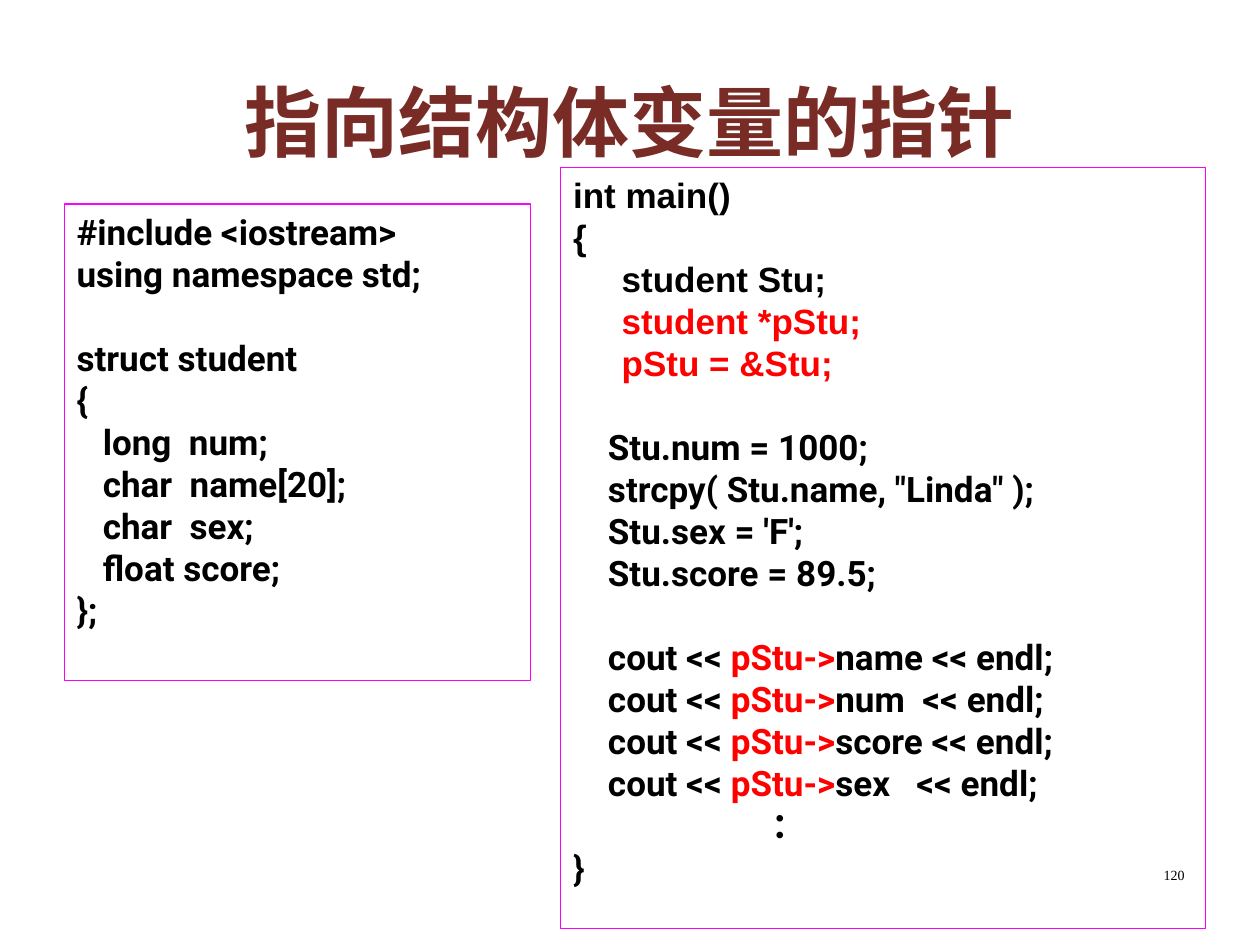
from pptx import Presentation
from pptx.dml.color import RGBColor
from pptx.enum.shapes import MSO_SHAPE
from pptx.enum.text import MSO_ANCHOR, PP_ALIGN
from pptx.util import Inches, Pt

BLACK = RGBColor(0x00, 0x00, 0x00)
RED = RGBColor(0xFF, 0x00, 0x00)
MAROON = RGBColor(0x79, 0x2B, 0x25)
MAGENTA = RGBColor(0xFF, 0x00, 0xFF)
SERIF, SANS, CODE = "Times New Roman", "Arial", "Roboto"

STRUCT_CODE = """#include <iostream>
using namespace std;

struct student
{
   long  num;
   char  name[20];
   char  sex;
   float score;
};"""

DECLARATION_CODE = """int main()
{
     student Stu;"""

POINTER_CODE = """     student *pStu;
     pStu = &Stu;
"""

ASSIGNMENT_CODE = """    Stu.num = 1000;
    strcpy( Stu.name, "Linda" );
    Stu.sex = 'F';
    Stu.score = 89.5;
"""

PRINTED_MEMBERS = ["name ", "num  ", "score ", "sex   "]

CLOSING_CODE = """                         ：
}"""


def add_text(paragraph, text, font=CODE, size=20, color=BLACK, bold=True):
    run = paragraph.add_run()
    run.text = text
    run.font.name = font
    run.font.size = Pt(size)
    run.font.bold = bold
    run.font.color.rgb = color


def code_lines(code, **text_format):
    """Turn a code block into lines, each a list of (text, format) pieces."""
    return [[(line, text_format)] for line in code.split("\n")]


def add_title(slide, left, top, width, height):
    title = slide.shapes.title
    title.left, title.top, title.width, title.height = left, top, width, height
    title.text_frame.vertical_anchor = MSO_ANCHOR.MIDDLE
    heading = title.text_frame.paragraphs[0]
    heading.alignment = PP_ALIGN.CENTER
    add_text(heading, "指向结构体变量的指针", font=SERIF, size=44, color=MAROON)


def add_page_number(slide, left, top, width, height):
    page_number = slide.shapes.add_textbox(left, top, width, height)
    page_number.text_frame.word_wrap = True
    paragraph = page_number.text_frame.paragraphs[0]
    paragraph.alignment = PP_ALIGN.RIGHT
    add_text(paragraph, "120", font=SERIF, size=8, bold=False)


def add_code_panel(slide, lines, left, top, width, height):
    panel = slide.shapes.add_shape(MSO_SHAPE.RECTANGLE, left, top, width, height)
    panel.shadow.inherit = False
    panel.fill.background()
    panel.line.color.rgb = MAGENTA
    panel.line.width = Pt(0.75)
    frame = panel.text_frame
    frame.word_wrap = True
    frame.vertical_anchor = MSO_ANCHOR.TOP
    for number, pieces in enumerate(lines):
        paragraph = frame.add_paragraph() if number else frame.paragraphs[0]
        paragraph.alignment = PP_ALIGN.LEFT
        paragraph.line_spacing = Pt(24)
        paragraph.font.size = Pt(20)
        for text, text_format in pieces:
            if text:
                add_text(paragraph, text, **text_format)


def main():
    presentation = Presentation()
    presentation.slide_width = Inches(10)
    presentation.slide_height = Inches(7.5)
    slide = presentation.slides.add_slide(presentation.slide_layouts[5])

    add_page_number(slide, Inches(7.17), Inches(6.83), Inches(2.33), Inches(0.52))
    add_title(slide, Inches(0.5), Inches(0.42), Inches(9), Inches(1.08))

    # Structure definition on the left
    add_code_panel(slide, code_lines(STRUCT_CODE),
                   Inches(0.51), Inches(1.62), Inches(3.7), Inches(3.78))

    # Main function on the right, with the pointer in red
    output_lines = [
        [("    cout << ", {}), ("pStu->", {"color": RED}), (f"{member}<< endl;", {})]
        for member in PRINTED_MEMBERS
    ]
    main_lines = (code_lines(DECLARATION_CODE, font=SANS)
                  + code_lines(POINTER_CODE, font=SANS, color=RED)
                  + code_lines(ASSIGNMENT_CODE)
                  + output_lines
                  + code_lines(CLOSING_CODE))
    add_code_panel(slide, main_lines,
                   Inches(4.45), Inches(1.33), Inches(5.12), Inches(6.04))

    presentation.save("out.pptx")


if __name__ == "__main__":
    main()
